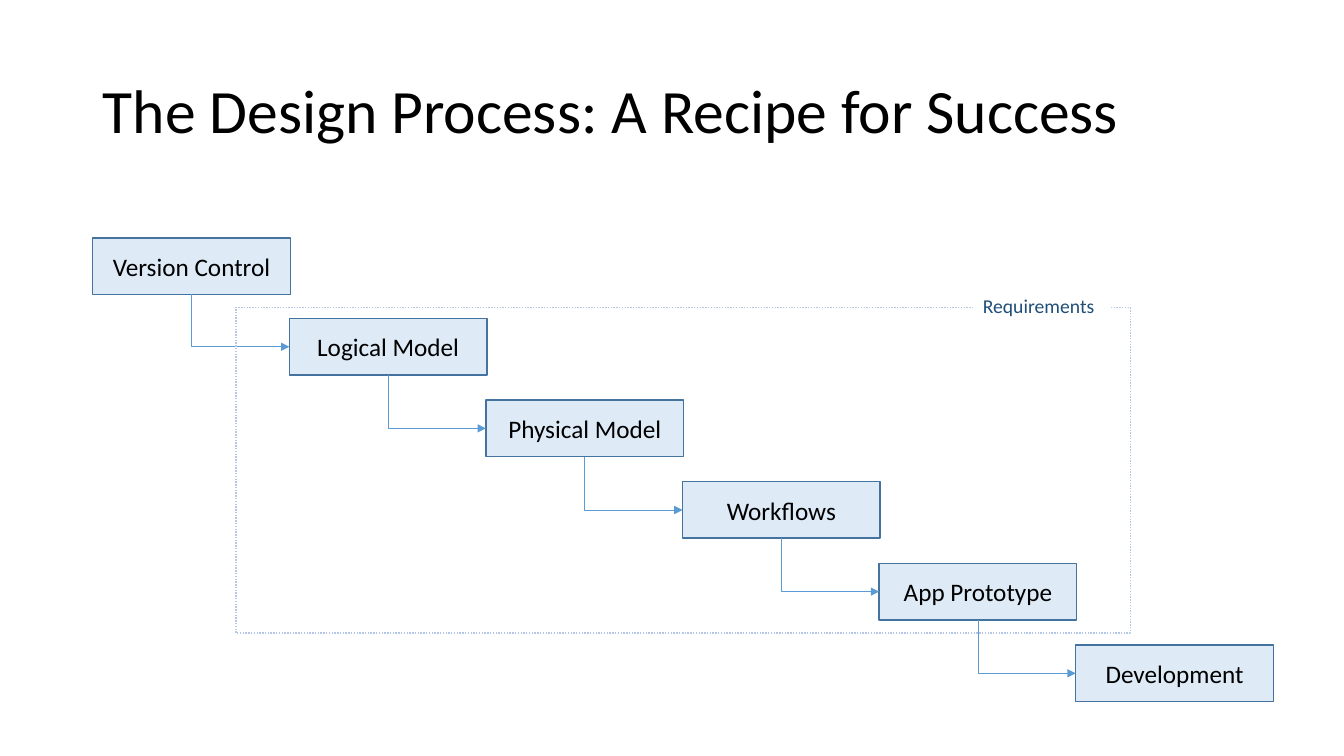
from itertools import pairwise

from lxml import etree
from pptx import Presentation
from pptx import util as u
from pptx.dml.color import RGBColor
from pptx.enum import dml, shapes, text
from pptx.oxml import ns

TITLE = "The Design Process: A Recipe for Success"
STEPS = [
    "Version Control",
    "Logical Model",
    "Physical Model",
    "Workflows",
    "App Prototype",
    "Development",
]
GROUP_LABEL = "Requirements"

FONT = "Calibri"
BLACK = RGBColor(0x00, 0x00, 0x00)
WHITE = RGBColor(0xFF, 0xFF, 0xFF)
STEP_FILL = RGBColor(0xDE, 0xEB, 0xF7)
STEP_LINE = RGBColor(0x43, 0x73, 0x9E)
ARROW = RGBColor(0x5B, 0x9B, 0xD5)
FRAME_LINE = RGBColor(0xB4, 0xC7, 0xE7)
LABEL_TEXT = RGBColor(0x1F, 0x4E, 0x79)

PX = u.Inches(1) // 100
SLIDE_SIZE = (1333, 750)
TITLE_AREA = (92, 40, 1150, 145)
FIRST_STEP = (92, 236)
LAST_STEP = (1067, 640)
STEP_SIZE = (196, 56)
FRAME_AREA = (234, 305, 887, 323)
LABEL_AREA = (965, 287, 137, 34)


def write(shape, words, size, color, align, anchor):
    frame = shape.text_frame
    frame.word_wrap = True
    frame.vertical_anchor = anchor
    para = frame.paragraphs[0]
    para.text = words
    para.alignment = align
    para.font.name = FONT
    para.font.size = u.Pt(size)
    para.font.color.rgb = color
    return para


def add_rectangle(page, area, fill=None, line=None):
    box = page.shapes.add_shape(
        shapes.MSO_SHAPE.RECTANGLE, *(length * PX for length in area)
    )
    box.shadow.inherit = False
    if fill is None:
        box.fill.background()
    else:
        box.fill.solid()
        box.fill.fore_color.rgb = fill
    if line is None:
        box.line.fill.background()
    else:
        box.line.color.rgb = line
        box.line.width = u.Pt(1)
    return box


def add_step(page, index, words):
    gaps = len(STEPS) - 1
    left, top = (
        first + (last - first) * index // gaps
        for first, last in zip(FIRST_STEP, LAST_STEP)
    )
    box = add_rectangle(page, (left, top, *STEP_SIZE), STEP_FILL, STEP_LINE)
    write(box, words, 18, BLACK, text.PP_ALIGN.CENTER, text.MSO_ANCHOR.MIDDLE)
    return box


def add_arrow(page, source, target):
    arrow = page.shapes.add_connector(shapes.MSO_CONNECTOR.ELBOW, 0, 0, 0, 0)
    arrow.begin_connect(source, 2)
    arrow.end_connect(target, 1)
    start_x = source.left + source.width // 2
    start_y = source.top + source.height
    end_x = target.left
    end_y = target.top + target.height // 2
    across, down = end_x - start_x, end_y - start_y
    arrow.left = (start_x + end_x - down) // 2
    arrow.top = (start_y + end_y - across) // 2
    arrow.width, arrow.height = down, across
    properties = arrow._element.spPr
    transform = properties.find(ns.qn("a:xfrm"))
    transform.set("rot", "16200000")
    transform.set("flipH", "1")
    properties.find(ns.qn("a:prstGeom")).set("prst", "bentConnector2")
    arrow.line.color.rgb = ARROW
    arrow.line.width = u.Pt(0.5)
    outline = properties.find(ns.qn("a:ln"))
    etree.SubElement(outline, ns.qn("a:tailEnd"), type="triangle")
    etree.SubElement(properties, ns.qn("a:effectLst"))


def main():
    deck = Presentation()
    deck.slide_width, deck.slide_height = (length * PX for length in SLIDE_SIZE)
    page = deck.slides.add_slide(deck.slide_layouts[5])

    title = page.shapes.title
    title.left, title.top, title.width, title.height = (
        length * PX for length in TITLE_AREA
    )
    heading = write(
        title, TITLE, 44, BLACK, text.PP_ALIGN.LEFT, text.MSO_ANCHOR.MIDDLE
    )
    heading.line_spacing = 0.9

    boxes = [add_step(page, index, words) for index, words in enumerate(STEPS)]
    for source, target in pairwise(boxes):
        add_arrow(page, source, target)

    frame = add_rectangle(page, FRAME_AREA, line=FRAME_LINE)
    frame.line.dash_style = dml.MSO_LINE.ROUND_DOT
    label = add_rectangle(page, LABEL_AREA, fill=WHITE)
    write(
        label, GROUP_LABEL, 14, LABEL_TEXT, text.PP_ALIGN.LEFT, text.MSO_ANCHOR.TOP
    )

    deck.save("out.pptx")


if __name__ == "__main__":
    main()
